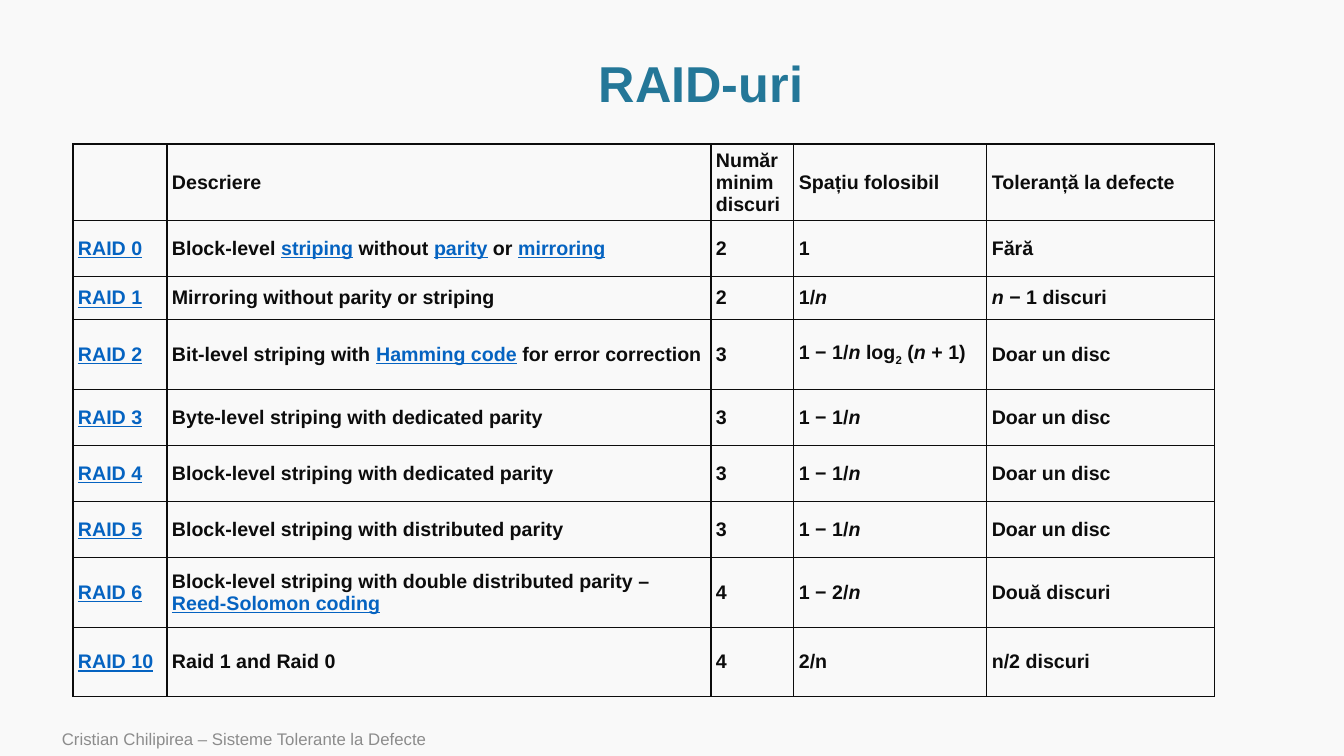
from lxml import etree
from pptx import Presentation
from pptx.dml.color import RGBColor
from pptx.enum.text import MSO_ANCHOR, PP_ALIGN
from pptx.oxml.ns import qn
from pptx.util import Pt

MIDDLE = MSO_ANCHOR.MIDDLE
CENTER = PP_ALIGN.CENTER
LEFT = PP_ALIGN.LEFT

BACKGROUND = RGBColor(0xF9, 0xF9, 0xF9)
TEAL = RGBColor(0x24, 0x77, 0x98)
GREY = RGBColor(0x8C, 0x8C, 0x8C)
INK = RGBColor(0x0C, 0x0C, 0x0C)
LINK_BLUE = RGBColor(0x05, 0x63, 0xC1)
FONT = "Arial"
EMU_PER_PX = 914400 / 100.8

LINK, ITALIC, SUBSCRIPT = "link", "italic", "subscript"
N = ("n", ITALIC)


def px(length):
    return round(length * EMU_PER_PX)


def add_line(box, text, size, color, bold, align):
    """Add a one-line text box; box is left, top, width, height in px."""
    frame = slide.shapes.add_textbox(*map(px, box)).text_frame
    frame.word_wrap = True
    frame.vertical_anchor = MIDDLE
    paragraph = frame.paragraphs[0]
    paragraph.text = text
    paragraph.alignment = align
    font = paragraph.runs[0].font
    font.name, font.size, font.bold = FONT, Pt(size), bold
    font.color.rgb = color
    return paragraph


prs = Presentation()
prs.slide_width, prs.slide_height = px(1344), px(756)
slide = prs.slides.add_slide(prs.slide_layouts[6])
slide.background.fill.solid()
slide.background.fill.fore_color.rgb = BACKGROUND

add_line((52, 722, 847, 34), "Cristian Chilipirea – Sisteme Tolerante la Defecte",
         12, GREY, False, LEFT)
title = add_line((115, 51, 1172, 70), "RAID-uri", 36, TEAL, True, CENTER)
title.line_spacing = 0.9

# A cell is a list of runs: plain text, or a (text, style) pair
raid_levels = [
    [[], ["Descriere"], ["Număr minim discuri"], ["Spațiu folosibil"],
     ["Toleranță la defecte"]],
    [[("RAID 0", LINK)],
     ["Block-level ", ("striping", LINK), " without ", ("parity", LINK), " or ",
      ("mirroring", LINK)],
     ["2"], ["1"], ["Fără"]],
    [[("RAID 1", LINK)], ["Mirroring without parity or striping"],
     ["2"], ["1/", N], [N, " − 1 discuri"]],
    [[("RAID 2", LINK)],
     ["Bit-level striping with ", ("Hamming code", LINK), " for error correction"],
     ["3"], ["1 − 1/", N, " log", ("2", SUBSCRIPT), " (", N, " + 1)"],
     ["Doar un disc"]],
    [[("RAID 3", LINK)], ["Byte-level striping with dedicated parity"],
     ["3"], ["1 − 1/", N], ["Doar un disc"]],
    [[("RAID 4", LINK)], ["Block-level striping with dedicated parity"],
     ["3"], ["1 − 1/", N], ["Doar un disc"]],
    [[("RAID 5", LINK)], ["Block-level striping with distributed parity"],
     ["3"], ["1 − 1/", N], ["Doar un disc"]],
    [[("RAID 6", LINK)],
     ["Block-level striping with double distributed parity – ",
      ("Reed-Solomon coding", LINK)],
     ["4"], ["1 − 2/", N], ["Două discuri"]],
    [[("RAID 10", LINK)], ["Raid 1 and Raid 0"], ["4"], ["2/n"], ["n/2 discuri"]],
]
column_widths = [94, 544, 83, 193, 228]
row_heights = [72, 56, 43, 70, 56, 56, 56, 70, 69]

raid_table = slide.shapes.add_table(
    len(row_heights), len(column_widths), px(73), px(144),
    px(sum(column_widths)), px(sum(row_heights))).table
raid_table.first_row = False
raid_table.horz_banding = False
for column, width in zip(raid_table.columns, column_widths):
    column.width = px(width)
for row, height in zip(raid_table.rows, row_heights):
    row.height = px(height)

for row, level in zip(raid_table.rows, raid_levels):
    for cell, pieces in zip(row.cells, level):
        cell.fill.background()
        cell.vertical_anchor = MIDDLE
        cell.margin_left = cell.margin_right = px(5)
        cell.margin_top = cell.margin_bottom = px(3)

        properties = cell._tc.get_or_add_tcPr()
        for position, side in enumerate(("a:lnL", "a:lnR", "a:lnT", "a:lnB")):
            border = etree.Element(qn(side), w=str(Pt(1)))
            fill = etree.SubElement(border, qn("a:solidFill"))
            etree.SubElement(fill, qn("a:srgbClr"), val=str(INK))
            properties.insert(position, border)

        paragraph = cell.text_frame.paragraphs[0]
        for piece in pieces:
            text, style = (piece, None) if isinstance(piece, str) else piece
            run = paragraph.add_run()
            run.text = text
            font = run.font
            font.name, font.size, font.bold = FONT, Pt(14), True
            font.color.rgb = LINK_BLUE if style == LINK else INK
            font.underline = style == LINK
            font.italic = style == ITALIC
            if style == SUBSCRIPT:
                run._r.get_or_add_rPr().set("baseline", "-25000")

prs.save("out.pptx")
